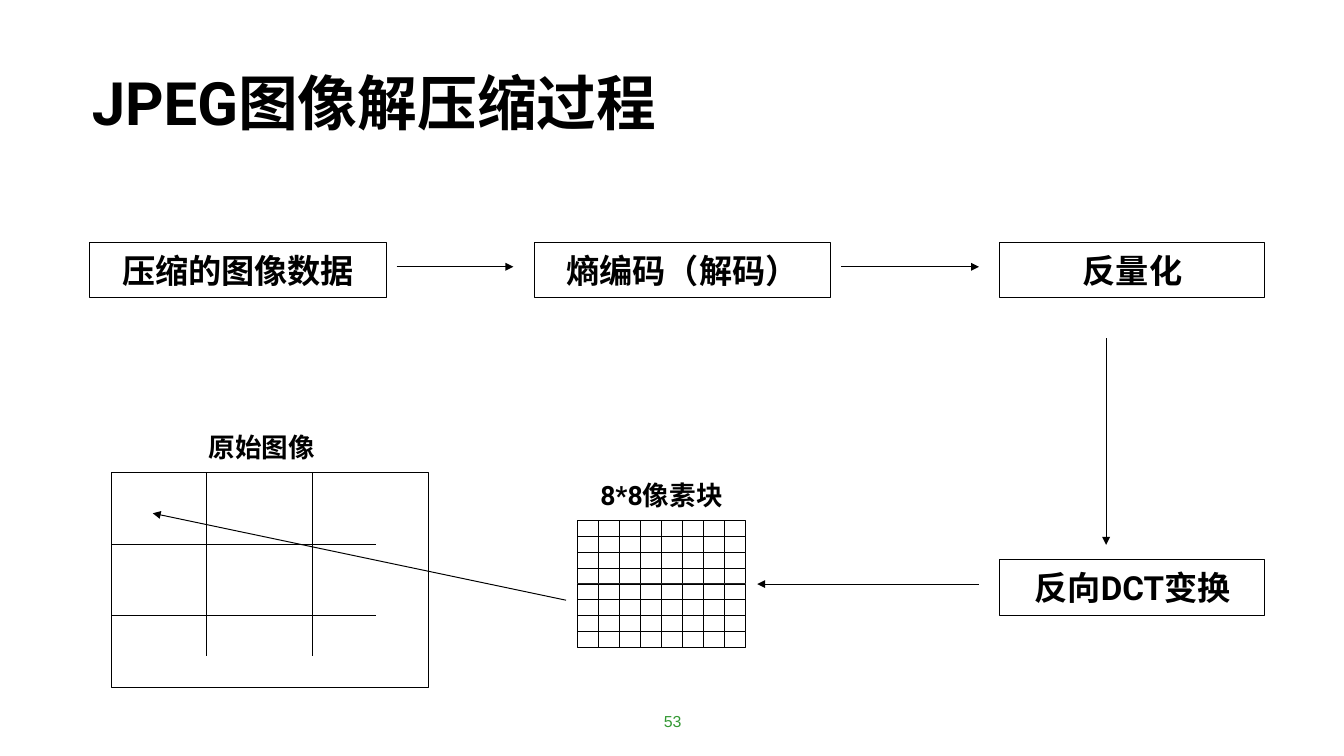
from lxml import etree
from pptx import Presentation
from pptx.dml.color import RGBColor
from pptx.enum.shapes import MSO_CONNECTOR, MSO_SHAPE
from pptx.enum.text import MSO_ANCHOR, PP_ALIGN
from pptx.oxml.ns import qn
from pptx.util import Cm, Pt

RECT = MSO_SHAPE.RECTANGLE
STRAIGHT = MSO_CONNECTOR.STRAIGHT
MIDDLE, TOP = MSO_ANCHOR.MIDDLE, MSO_ANCHOR.TOP
CENTER, LEFT = PP_ALIGN.CENTER, PP_ALIGN.LEFT
BLACK, WHITE, GREEN = "000000", "FFFFFF", "339933"
THIN = Pt(0.75)


def color(code):
    return RGBColor.from_string(code)


def write(shape, text, size, align=LEFT, anchor=TOP, wrap=True,
          font="Roboto", bold=True, ink=BLACK):
    frame = shape.text_frame
    frame.word_wrap = wrap
    frame.vertical_anchor = anchor
    frame.margin_left = frame.margin_right = Cm(0.33)
    frame.margin_top = frame.margin_bottom = Cm(0.16)
    para = frame.paragraphs[0]
    para.alignment = align
    run = para.add_run()
    run.text = text
    run.font.size = Pt(size)
    run.font.bold = bold
    run.font.color.rgb = color(ink)
    run.font.name = font
    # Chinese characters use the same font name
    asian = etree.SubElement(run.font._element, qn("a:ea"))
    asian.set("typeface", font)


def add_rect(shapes, x, y, w, h):
    rect = shapes.add_shape(RECT, Cm(x), Cm(y), Cm(w), Cm(h))
    rect.shadow.inherit = False
    rect.fill.solid()
    rect.fill.fore_color.rgb = color(WHITE)
    rect.line.color.rgb = color(BLACK)
    rect.line.width = THIN
    return rect


def add_step(shapes, x, y, w, text):
    box = add_rect(shapes, x, y, w, 1.47)
    write(box, text, 25, CENTER, MIDDLE, wrap=False)


def add_label(shapes, x, y, w, h, text, size, **style):
    box = shapes.add_textbox(Cm(x), Cm(y), Cm(w), Cm(h))
    write(box, text, size, **style)


def add_line(shapes, x1, y1, x2, y2, arrow=False):
    line = shapes.add_connector(STRAIGHT, Cm(x1), Cm(y1), Cm(x2), Cm(y2))
    line.line.color.rgb = color(BLACK)
    line.line.width = THIN
    if arrow:
        tail = etree.SubElement(line.line._get_or_add_ln(), qn("a:tailEnd"))
        tail.set("type", "triangle")
    etree.SubElement(line._element.spPr, qn("a:effectLst"))


def add_image(shapes):
    left, top, width, height = 2.95, 12.57, 8.43, 5.69
    add_rect(shapes, left, top, width, height)
    for i in (1, 2):
        y = top + i * height / 3
        add_line(shapes, left, y, 9.98, y)
    for x in (5.49, 8.31):
        add_line(shapes, x, top, x, 17.42)


def add_pixels(shapes):
    left, top, width, height = 15.34, 13.84, 0.56, 0.42
    group = shapes.add_group_shape()
    for row in range(8):
        for col in range(8):
            add_rect(group.shapes, left + col * width, top + row * height,
                     width, height)


def main():
    deck = Presentation()
    deck.slide_width, deck.slide_height = Cm(35.71), Cm(20.09)
    shapes = deck.slides.add_slide(deck.slide_layouts[6]).shapes

    # Title and page number
    add_label(shapes, 2.11, 1.6, 20.9, 2.24, "JPEG图像解压缩过程", 45)
    add_label(shapes, 11.84, 18.62, 12.07, 1.07, "53", 12, align=CENTER,
              anchor=MIDDLE, font="Arial", bold=False, ink=GREEN)

    # Source image and pixel block
    add_image(shapes)
    add_pixels(shapes)
    add_label(shapes, 5.21, 11.3, 5.99, 1.17, "原始图像", 20)
    add_label(shapes, 15.62, 12.57, 5.99, 1.17, "8*8像素块", 20)

    # Decoding steps
    for x, y, w, text in (
        (2.39, 6.45, 7.87, "压缩的图像数据"),
        (14.2, 6.45, 7.87, "熵编码（解码）"),
        (26.57, 6.45, 7.04, "反量化"),
        (26.57, 14.88, 7.04, "反向DCT变换"),
    ):
        add_step(shapes, x, y, w, text)

    # Flow arrows
    for ends in (
        (10.54, 7.09, 13.64, 7.09),
        (22.35, 7.09, 26.01, 7.09),
        (29.39, 8.99, 29.39, 14.48),
        (26.01, 15.52, 20.12, 15.52),
        (15.04, 15.95, 4.06, 13.64),
    ):
        add_line(shapes, *ends, arrow=True)

    deck.save("out.pptx")


if __name__ == "__main__":
    main()
